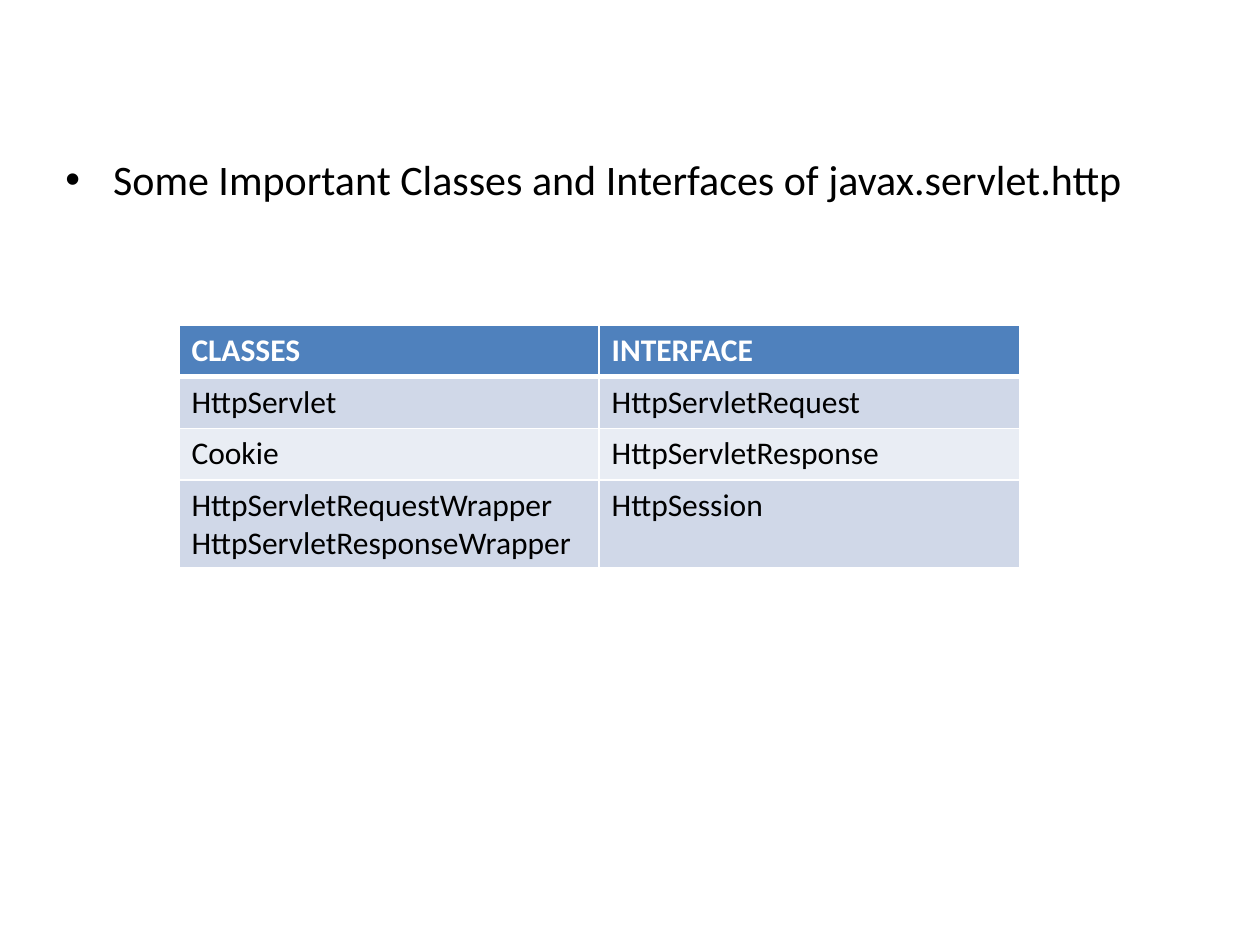
"""Build a slide listing the main classes and interfaces of javax.servlet.http."""
import lxml.etree
import pptx
import pptx.dml.color
import pptx.oxml.ns
import pptx.util

COLORS = {"header": "4F81BD", "odd": "D0D8E8", "even": "E9EDF4", "white": "FFFFFF", "ink": "000000"}
ROWS = [
    ("CLASSES", "INTERFACE"),
    ("HttpServlet", "HttpServletRequest"),
    ("Cookie", "HttpServletResponse"),
    ("HttpServletRequestWrapper\nHttpServletResponseWrapper", "HttpSession"),
]
qn = pptx.oxml.ns.qn


def write(frame, text, size=18, color="ink", bold=False):
    frame.word_wrap = True
    frame.text = text
    for paragraph in frame.paragraphs:
        font = paragraph.runs[0].font
        font.name = "Calibri"
        font.size = pptx.util.Pt(size)
        font.bold = bold
        font.color.rgb = pptx.dml.color.RGBColor.from_string(COLORS[color])


def add_border(cell, side, points):
    line = lxml.etree.SubElement(cell._tc.get_or_add_tcPr(), qn(f"a:ln{side}"), w=str(pptx.util.Pt(points)))
    paint = lxml.etree.SubElement(line, qn("a:solidFill"))
    lxml.etree.SubElement(paint, qn("a:srgbClr"), val=COLORS["white"])


deck = pptx.Presentation()
deck.slide_width = width = pptx.util.Inches(10)
deck.slide_height = height = pptx.util.Inches(7.5)
slide = deck.slides.add_slide(deck.slide_layouts[6])

heading = slide.shapes.add_textbox(int(width * 0.042), int(height * 0.156), int(width * 0.9), int(height * 0.66))
write(heading.text_frame, "Some Important Classes and Interfaces of javax.servlet.http", size=24)
bullet_line = heading.text_frame.paragraphs[0]
bullet_line.space_before = pptx.util.Pt(4.8)
bullet_format = bullet_line._p.get_or_add_pPr()
bullet_format.set("marL", str(pptx.util.Inches(0.38)))
bullet_format.set("indent", str(pptx.util.Inches(-0.38)))
lxml.etree.SubElement(bullet_format, qn("a:buFont"), typeface="Arial")
lxml.etree.SubElement(bullet_format, qn("a:buChar"), char="•")

row_height = pptx.util.Inches(0.41)
types = slide.shapes.add_table(
    len(ROWS), 2, int(width * 0.142), int(height * 0.344), int(width * 0.667), row_height * len(ROWS)
).table
for row, names in enumerate(ROWS):
    types.rows[row].height = row_height
    is_header = row == 0
    band = "header" if is_header else "odd" if row % 2 else "even"
    for column, name in enumerate(names):
        cell = types.cell(row, column)
        write(cell.text_frame, name, color="white" if is_header else "ink", bold=is_header)
        for side in "LRTB":
            thick = (row, side) in ((0, "B"), (1, "T"))
            add_border(cell, side, 3 if thick else 1)
        cell.fill.solid()
        cell.fill.fore_color.rgb = pptx.dml.color.RGBColor.from_string(COLORS[band])

deck.save("out.pptx")
